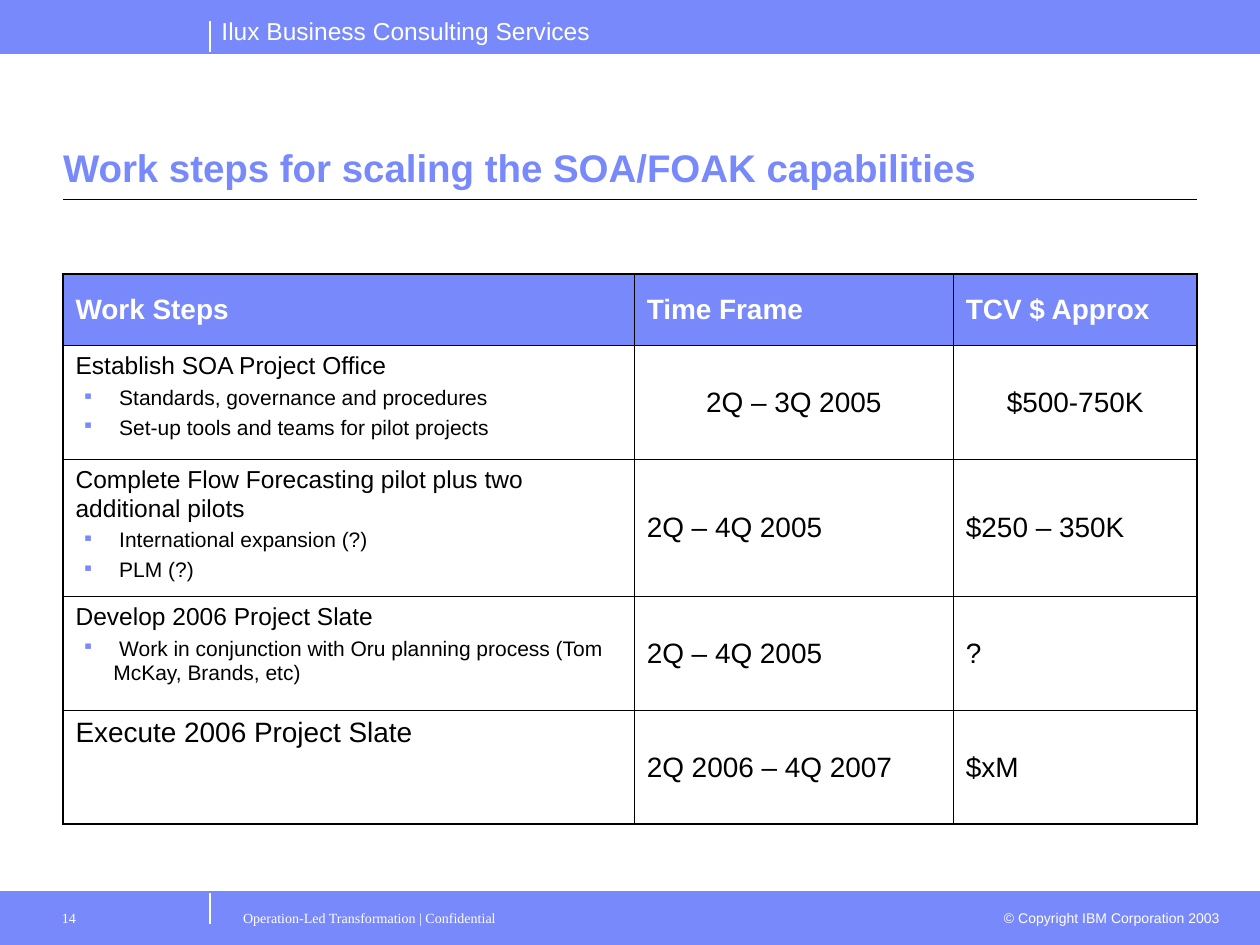
from lxml import etree
from pptx import Presentation
from pptx.dml.color import RGBColor
from pptx.enum.shapes import MSO_CONNECTOR, MSO_SHAPE
from pptx.enum.text import MSO_ANCHOR, PP_ALIGN
from pptx.oxml.ns import qn
from pptx.util import Pt

LEFT, CENTER, RIGHT = PP_ALIGN.LEFT, PP_ALIGN.CENTER, PP_ALIGN.RIGHT
TOP, MIDDLE, BOTTOM = MSO_ANCHOR.TOP, MSO_ANCHOR.MIDDLE, MSO_ANCHOR.BOTTOM
BLUE, WHITE, BLACK = "7889FB", "FFFFFF", "000000"
SANS, SERIF = "Arial", "Times New Roman"
WIDTH, HEIGHT, BAR = 720, 540, 30.24
OUTER, INNER = 1.08, 0.45

# Content
TITLE = "Work steps for scaling the SOA/FOAK capabilities"
HEADERS = ["Work Steps", "Time Frame", "TCV $ Approx"]
# step, step size, sub-steps, time frame, value, alignment of the last two
STEPS = [
    ("Establish SOA Project Office", 14,
     [" Standards, governance and procedures", " Set-up tools and teams for pilot projects"],
     "2Q – 3Q 2005", "$500-750K", CENTER),
    ("Complete Flow Forecasting pilot plus two additional pilots", 14,
     [" International expansion (?)", " PLM (?)"],
     "2Q – 4Q 2005", "$250 – 350K", LEFT),
    ("Develop 2006 Project Slate", 14,
     [" Work in conjunction with Oru planning process (Tom McKay, Brands, etc)"],
     "2Q – 4Q 2005", "?", LEFT),
    ("Execute 2006 Project Slate", 16, [], "2Q 2006 – 4Q 2007", "$xM", LEFT),
]
COLUMN_WIDTHS = [326.4, 182.4, 139.2]
ROW_HEIGHTS = [40.8, 65.1, 78.3, 65.1, 65.1]
# text, box, text format, frame format
LABELS = [
    ("Ilux Business Consulting Services", (119.5, 5.76, 228.2, 24.5),
     dict(size=14), dict(wrap=False)),
    ("© Copyright IBM Corporation 2003", (563.8, 516.2, 140.4, 17.3),
     dict(size=8, align=RIGHT), {}),
    ("Operation-Led Transformation | Confidential", (131.8, 514.8, 432, 25.2),
     dict(size=8, font=SERIF), dict(margins=(7.2, 5.04, 7.2, 3.6))),
    ("14", (23.8, 514.8, 95.8, 25.2),
     dict(size=8, font=SERIF), dict(margins=(11.5, 5.04, 7.2, 3.6))),
]
# start x, start y, end x, end y, colour, width
LINES = [
    (120, BAR, 120, 12, WHITE, 0.75),
    (120, 528, 120, HEIGHT - BAR, WHITE, 0.75),
    (0, BAR, WIDTH, BAR, BLUE, 0.5),
    (0, HEIGHT - BAR, WIDTH, HEIGHT - BAR, BLUE, 0.5),
    (36, 114, 684, 114, BLACK, 0.75),
]


def color(value):
    return RGBColor.from_string(value)


def add_bullet(paragraph):
    properties = paragraph._p.get_or_add_pPr()
    properties.set("marL", str(Pt(21.6)))
    properties.set("indent", str(Pt(-18)))
    bullet_color = etree.SubElement(properties, qn("a:buClr"))
    etree.SubElement(bullet_color, qn("a:srgbClr"), val=BLUE)
    etree.SubElement(properties, qn("a:buSzPct"), val="80000")
    etree.SubElement(properties, qn("a:buChar"), char="▪")


def write(paragraph, text, size=16, font=SANS, fill=WHITE, bold=False,
          align=LEFT, spacing=None, before=0, bullet=False):
    if bullet:
        add_bullet(paragraph)
        paragraph.level = 1
    paragraph.alignment = align
    paragraph.space_before = Pt(before)
    if spacing:
        paragraph.line_spacing = spacing
    run = paragraph.add_run()
    run.text = text
    run.font.size, run.font.name, run.font.bold = Pt(size), font, bold
    run.font.color.rgb = color(fill)


def set_frame(frame, margins=(7.2, 3.6, 7.2, 3.6), anchor=TOP, wrap=True):
    frame.margin_left, frame.margin_top, frame.margin_right, frame.margin_bottom = map(Pt, margins)
    frame.vertical_anchor = anchor
    frame.word_wrap = wrap


def set_borders(cell, widths):
    properties = cell._tc.get_or_add_tcPr()
    for side, width in zip("LRTB", widths):
        line = etree.SubElement(properties, qn(f"a:ln{side}"), w=str(Pt(width)))
        solid = etree.SubElement(line, qn("a:solidFill"))
        etree.SubElement(solid, qn("a:srgbClr"), val=BLACK)


presentation = Presentation()
presentation.slide_width, presentation.slide_height = Pt(WIDTH), Pt(HEIGHT)
slide = presentation.slides.add_slide(presentation.slide_layouts[5])
shapes = slide.shapes

# Bars at the bottom and top
for top in (HEIGHT - BAR, 0):
    bar = shapes.add_shape(MSO_SHAPE.RECTANGLE, 0, Pt(top), Pt(WIDTH), Pt(BAR))
    bar.shadow.inherit = False
    bar.fill.solid()
    bar.fill.fore_color.rgb = bar.line.color.rgb = color(BLUE)
    bar.line.width = Pt(0.75)

# Rules
for *ends, line_color, width in LINES:
    rule = shapes.add_connector(MSO_CONNECTOR.STRAIGHT, *map(Pt, ends))
    rule.line.color.rgb = color(line_color)
    rule.line.width = Pt(width)
    etree.SubElement(rule._element.spPr, qn("a:effectLst"))

# Title
title = shapes.title
title.left, title.top, title.width, title.height = map(Pt, (36, 46.1, 648, 66.2))
set_frame(title.text_frame, margins=(0, 3.6, 0, 3.6), anchor=BOTTOM)
write(title.text_frame.paragraphs[0], TITLE, size=22, fill=BLUE, bold=True)

# Header and footer labels
for text, box, text_format, frame_format in LABELS:
    frame = shapes.add_textbox(*map(Pt, box)).text_frame
    set_frame(frame, **frame_format)
    write(frame.paragraphs[0], text, **text_format)

# Table
row_count, column_count = len(ROW_HEIGHTS), len(COLUMN_WIDTHS)
table = shapes.add_table(row_count, column_count, Pt(36), Pt(156.5),
                         Pt(sum(COLUMN_WIDTHS)), Pt(sum(ROW_HEIGHTS))).table
for column, width in zip(table.columns, COLUMN_WIDTHS):
    column.width = Pt(width)
for row, height in zip(table.rows, ROW_HEIGHTS):
    row.height = Pt(height)

for r in range(row_count):
    for c in range(column_count):
        cell = table.cell(r, c)
        edges = (c == 0, c == column_count - 1, r == 0, r == row_count - 1)
        set_borders(cell, [OUTER if edge else INNER for edge in edges])
        cell.vertical_anchor = TOP if r and c == 0 else MIDDLE
        first = cell.text_frame.paragraphs[0]
        if r == 0:
            cell.fill.solid()
            cell.fill.fore_color.rgb = color(BLUE)
            write(first, HEADERS[c], bold=True, spacing=1.04)
            continue
        cell.fill.background()
        step, size, substeps, time_frame, value, align = STEPS[r - 1]
        if c:
            write(first, (time_frame, value)[c - 1], fill=BLACK, align=align, spacing=1.04)
            continue
        write(first, step, size=size, fill=BLACK, spacing=1.04)
        for substep in substeps:
            write(cell.text_frame.add_paragraph(), substep, size=12, fill=BLACK,
                  spacing=1.04, before=3, bullet=True)

presentation.save("out.pptx")
